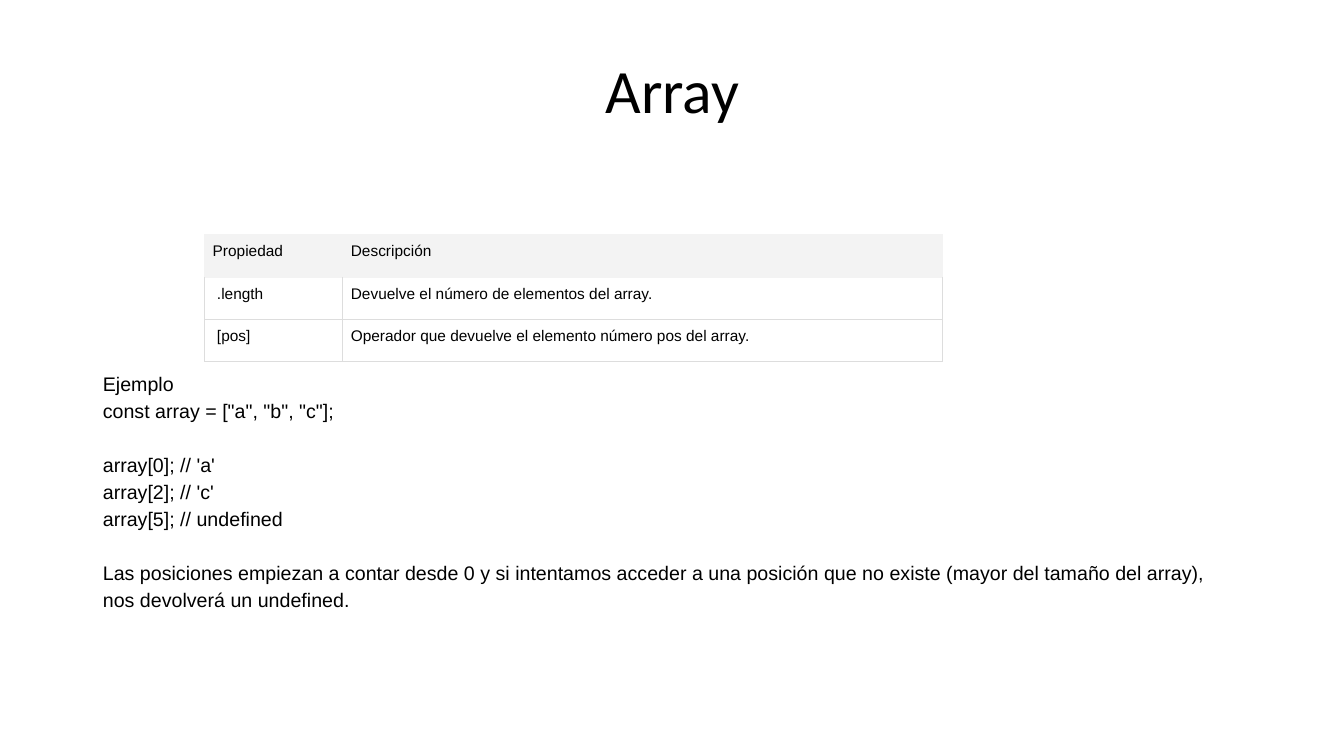
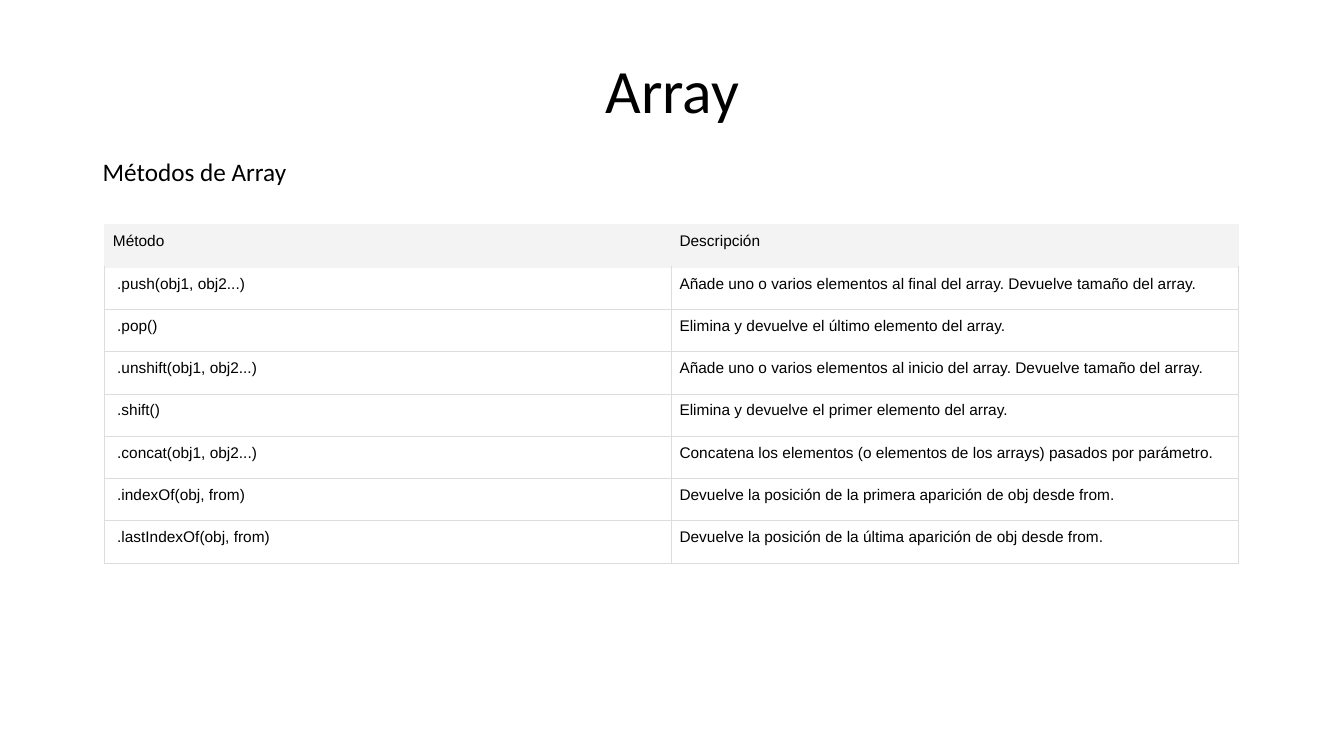
import pptx
import pptx.util
import pptx.dml.color
import pptx.enum.text
import pptx.oxml.ns
import lxml.etree

Inches = pptx.util.Inches
Pt = pptx.util.Pt
RGBColor = pptx.dml.color.RGBColor
ALIGN = pptx.enum.text.PP_ALIGN

BLACK = RGBColor(0x00, 0x00, 0x00)
HEAD = RGBColor(0xF3, 0xF3, 0xF3)
RULE = RGBColor(0xDD, 0xDD, 0xDD)
ROW = 0.42
PAD = {"margin_left": Inches(0.08), "margin_right": Inches(0.08),
       "margin_top": Inches(0.08), "margin_bottom": Inches(0.08)}


def style(frame, name, size, form):
    for par in frame.paragraphs:
        for key, value in form.items():
            setattr(par, key, value)
        for run in par.runs:
            run.font.name = name
            run.font.size = Pt(size)
            run.font.color.rgb = BLACK


def add_grid(slide, left, top, widths, rows):
    frame = slide.shapes.add_table(len(rows), len(widths), Inches(left), Inches(top),
                                   Inches(sum(widths)), Inches(ROW * len(rows)))
    table = frame.table
    table.first_row = False
    table.horz_banding = False
    for col, width in zip(table.columns, widths):
        col.width = Inches(width)
    for i, texts in enumerate(rows):
        table.rows[i].height = Inches(ROW)
        for j, text in enumerate(texts):
            cell = table.cell(i, j)
            cell.text = text
            for key, value in PAD.items():
                setattr(cell, key, value)
            style(cell.text_frame, "Arial", 11, {})
            props = cell._tc.get_or_add_tcPr()
            for side in ("lnL", "lnR", "lnT", "lnB"):
                head = i == 0 or (i == 1 and side == "lnT")
                line = lxml.etree.SubElement(props, pptx.oxml.ns.qn("a:" + side),
                                             w=str(Pt(1 if head else 0.75)))
                fill = lxml.etree.SubElement(line, pptx.oxml.ns.qn("a:solidFill"))
                lxml.etree.SubElement(fill, pptx.oxml.ns.qn("a:srgbClr"),
                                      val=str(HEAD if head else RULE))
            if i == 0:
                cell.fill.solid()
                cell.fill.fore_color.rgb = HEAD
            else:
                cell.fill.background()


deck = pptx.Presentation()
deck.slide_width = Inches(13.33)
deck.slide_height = Inches(7.5)

slides = [deck.slides.add_slide(deck.slide_layouts[n]) for n in (1, 5)]
for slide in slides:
    title = slide.shapes.title
    place = {"left": 0.92, "top": 0.4, "width": 11.5, "height": 1.05}
    for key, value in place.items():
        setattr(title, key, Inches(value))
    title.text_frame.text = "Array"
    style(title.text_frame, "Calibri", 44, {"alignment": ALIGN.CENTER, "line_spacing": 0.9})

first, second = slides

body = first.placeholders[1]
place = {"left": 0.92, "top": 1.45, "width": 11.5, "height": 5.31}
for key, value in place.items():
    setattr(body, key, Inches(value))
text = body.text_frame
text.margin_top = Inches(2.2)
groups = [
    ["Ejemplo", 'const array = ["a", "b", "c"];'],
    ["array[0]; // 'a'", "array[2]; // 'c'", "array[5]; // undefined"],
    ["Las posiciones empiezan a contar desde 0 y si intentamos acceder a una posición "
     "que no existe (mayor del tamaño del array), nos devolverá un undefined."],
]
text.text = "\n".join(line for group in groups for line in group)
style(text, "Arial", 14, {"line_spacing": 1.15, "space_before": Pt(0)})
for par in text.paragraphs:
    props = par._p.get_or_add_pPr()
    props.set("marL", "0")
    props.set("indent", "0")
    lxml.etree.SubElement(props, pptx.oxml.ns.qn("a:buNone"))
    if par.text in (groups[1][0], groups[2][0]):
        par.space_before = Pt(19.3)

add_grid(first, 2.03, 2.33, [1.37, 5.95], [
    ("Propiedad", "Descripción"),
    (" .length", "Devuelve el número de elementos del array."),
    (" [pos]", "Operador que devuelve el elemento número pos del array."),
])

add_grid(second, 1.04, 2.23, [5.62, 5.62], [
    ("Método", "Descripción"),
    (" .push(obj1, obj2...)",
     "Añade uno o varios elementos al final del array. Devuelve tamaño del array."),
    (" .pop()", "Elimina y devuelve el último elemento del array."),
    (" .unshift(obj1, obj2...)",
     "Añade uno o varios elementos al inicio del array. Devuelve tamaño del array."),
    (" .shift()", "Elimina y devuelve el primer elemento del array."),
    (" .concat(obj1, obj2...)",
     "Concatena los elementos (o elementos de los arrays) pasados por parámetro."),
    (" .indexOf(obj, from)", "Devuelve la posición de la primera aparición de obj desde from."),
    (" .lastIndexOf(obj, from)", "Devuelve la posición de la última aparición de obj desde from."),
])

label = second.shapes.add_textbox(Inches(0.92), Inches(1.45), Inches(10.41), Inches(1.21))
text = label.text_frame
text.word_wrap = True
for side in ("left", "right", "top", "bottom"):
    setattr(text, "margin_" + side, Inches(0.1))
text.text = "Métodos de Array"
style(text, "Calibri", 18, {})

deck.save("out.pptx")
